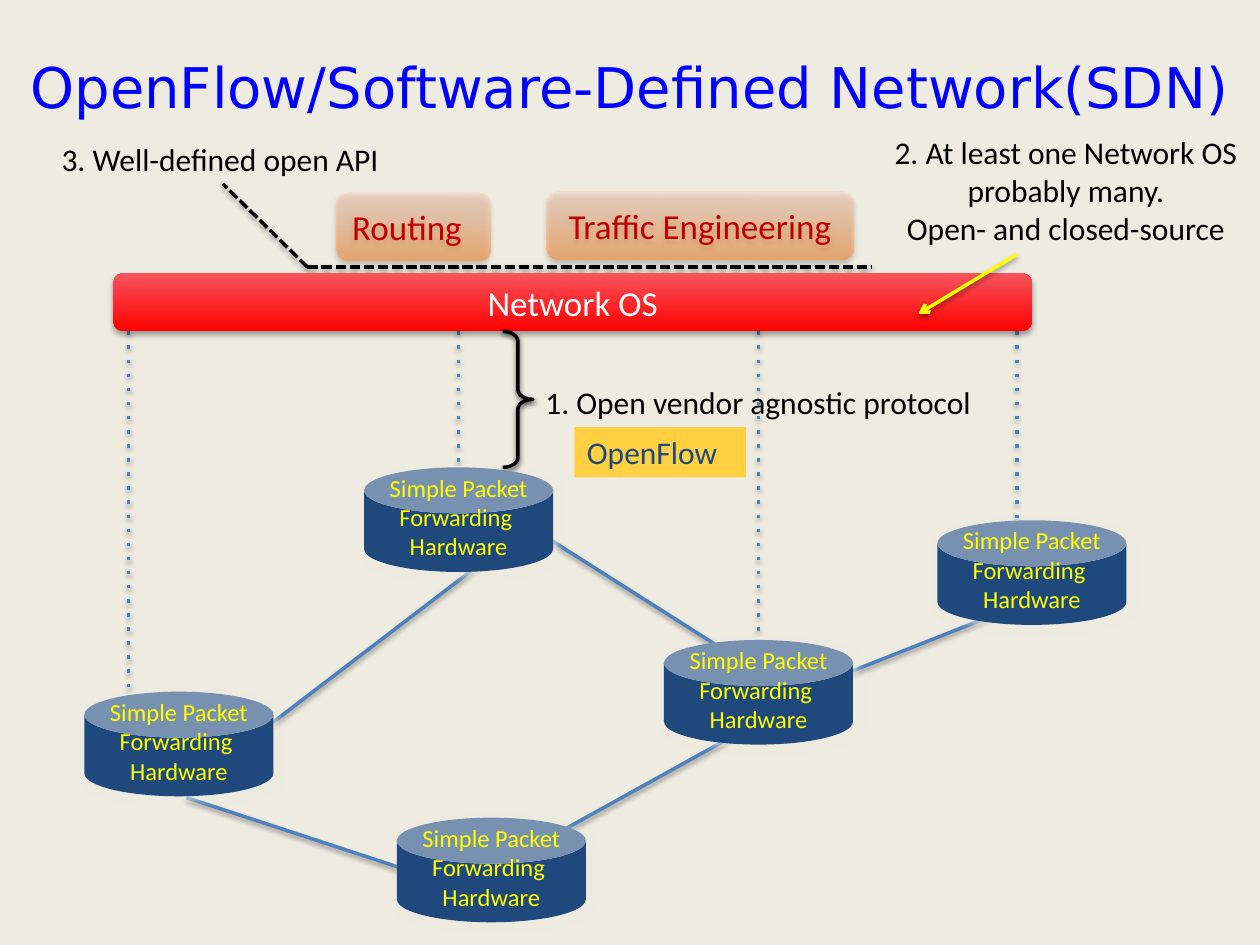
from pptx import Presentation
from pptx.dml.color import RGBColor
from pptx.enum.shapes import MSO_CONNECTOR as Conn, MSO_SHAPE as Kind
from pptx.enum.text import MSO_ANCHOR as Anchor, PP_ALIGN as Align
from pptx.oxml import parse_xml
from pptx.oxml.ns import nsdecls, qn
from pptx.util import Pt

PX = 9144  # 100 px to the inch
hue = RGBColor.from_string
NS = nsdecls("a")


def shade(item, color, alpha, blur, dist, angle):
    """Give a shape or connector an outer shadow."""
    item._element.spPr.append(parse_xml(
        f'<a:effectLst {NS}><a:outerShdw blurRad="{Pt(blur)}" dist="{Pt(dist)}" '
        f'dir="{angle * 60000}" rotWithShape="0"><a:srgbClr val="{color}">'
        f'<a:alpha val="{alpha * 1000}"/></a:srgbClr></a:outerShdw></a:effectLst>'))


def write(item, lines, size, color, align=Align.CENTER, anchor=Anchor.MIDDLE,
          wrap=True, font="Calibri"):
    """Fill a shape with paragraphs of one style."""
    frame = item.text_frame
    frame.word_wrap = wrap
    frame.vertical_anchor = anchor
    for i, line in enumerate(lines):
        para = frame.add_paragraph() if i else frame.paragraphs[0]
        para.text = line
        para.alignment = align
        para.font.name = font
        para.font.size = Pt(size)
        para.font.color.rgb = hue(color)


deck = Presentation()
deck.slide_width, deck.slide_height = 1000 * PX, 750 * PX
slide = deck.slides.add_slide(deck.slide_layouts[6])
slide.background.fill.solid()
slide.background.fill.fore_color.rgb = hue("EEECE1")
shapes = slide.shapes

# Links between switches, then dotted control lines, API edge and pointer
BLUE, BLACK = "4F81BD", "000000"
links = [(217, 573, 399, 434), (422, 419, 567, 511), (434, 666, 602, 573),
         (148, 633, 349, 699), (650, 543, 807, 481)]
drops = [(102, 567), (364, 371), (602, 511), (807, 419)]
wires = [(*ends, BLUE, None) for ends in links]
wires += [(x, 263, x, y, BLUE, "dot") for x, y in drops]
wires += [(244, 212, 692, 212, BLACK, "sysDash"),
          (244, 212, 177, 146, BLACK, "sysDash"),
          (807, 202, 729, 249, "FFFF00", None)]
for x1, y1, x2, y2, color, dash in wires:
    wire = shapes.add_connector(Conn.STRAIGHT, x1 * PX, y1 * PX, x2 * PX, y2 * PX)
    wire.line.width = Pt(2)
    wire.line.color.rgb = hue(color)
    ln = wire._element.spPr.find(qn("a:ln"))
    if dash:
        ln.append(parse_xml(f'<a:prstDash {NS} val="{dash}"/>'))
    if color == "FFFF00":
        ln.append(parse_xml(f'<a:tailEnd {NS} type="arrow"/>'))
    shade(wire, "000000", 38, 3.1, 1.6, 90)
pointer = wire

# Applications and the network OS bar
ORANGE = [("FF953E", 60), ("FFD2BD", 45)]
RED = [("FF0000", 100), ("F7545C", 100)]
bars = [("Routing", 267, 153, 122, 54, ORANGE, "C00000", Align.LEFT),
        ("Traffic Engineering", 434, 152, 243, 54, ORANGE, "C00000", Align.CENTER),
        ("Network OS", 90, 217, 729, 46, RED, "FFFFFF", Align.CENTER)]
for text, x, y, w, h, tones, color, align in bars:
    bar = shapes.add_shape(Kind.ROUNDED_RECTANGLE, x * PX, y * PX, w * PX, h * PX)
    bar.fill.gradient()
    bar.fill.gradient_angle = 90
    for stop, (tone, alpha) in zip(bar.fill.gradient_stops, tones):
        stop.color.rgb = hue(tone)
    for node, (tone, alpha) in zip(bar._element.spPr.iter(qn("a:srgbClr")), tones):
        node.append(parse_xml(f'<a:alpha {NS} val="{alpha * 1000}"/>'))
    bar.line.fill.background()
    shade(bar, "000000", 35, 3.1, 1.8, 90)
    write(bar, [text], 20, color, align)
bar._element.addnext(pointer._element)  # the pointer lies over the bar

# Brace for the protocol span
brace = shapes.add_shape(Kind.RIGHT_BRACE, 399 * PX, 263 * PX, 24 * PX, 108 * PX)
brace.adjustments[0] = 0.32
brace.fill.background()
brace.line.width = Pt(2)
brace.line.color.rgb = hue(BLACK)
shade(brace, "000000", 69, 3.1, 1.6, 90)

# Protocol tag
tag = shapes.add_shape(Kind.RECTANGLE, 456 * PX, 339 * PX, 136 * PX, 40 * PX)
tag.shadow.inherit = False
tag.fill.solid()
tag.fill.fore_color.rgb = hue("FFD042")
tag.line.fill.background()
write(tag, ["OpenFlow"], 18, "1F497D", Align.LEFT, Anchor.TOP)

# Switches
for x, y in [(67, 549), (315, 649), (289, 371), (527, 508), (744, 413)]:
    can = shapes.add_shape(Kind.CAN, x * PX, y * PX, 150 * PX, 83 * PX)
    can.adjustments[0] = 0.44
    can.fill.solid()
    can.fill.fore_color.rgb = hue("1F497D")
    can.line.fill.background()
    shade(can, "EEECE1", 75, 5, 3, 45)
    write(can, ["Simple Packet", "Forwarding ", "Hardware"], 14, "FFFF00", wrap=False)
    can.text_frame.margin_top = 0
    can.text_frame.margin_bottom = 23 * PX  # lifts the label

# Title and notes
title = shapes.add_textbox(0, 28 * PX, 1000 * PX, 80 * PX)
write(title, ["OpenFlow/Software-Defined Network(SDN)"], 32, "0000FF", font="DejaVu Sans")
notes = [("3. Well-defined open API", 39, 106, 274, 40, Align.LEFT, False),
         ("2. At least one Network OS\nprobably many.\nOpen- and closed-source",
          656, 101, 380, 101, Align.CENTER, True),
         ("1. Open vendor agnostic protocol", 423, 299, 362, 40, Align.LEFT, False)]
for text, x, y, w, h, align, wrap in notes:
    note = shapes.add_textbox(x * PX, y * PX, w * PX, h * PX)
    write(note, [text], 18, BLACK, align, Anchor.TOP, wrap)

deck.save("out.pptx")
